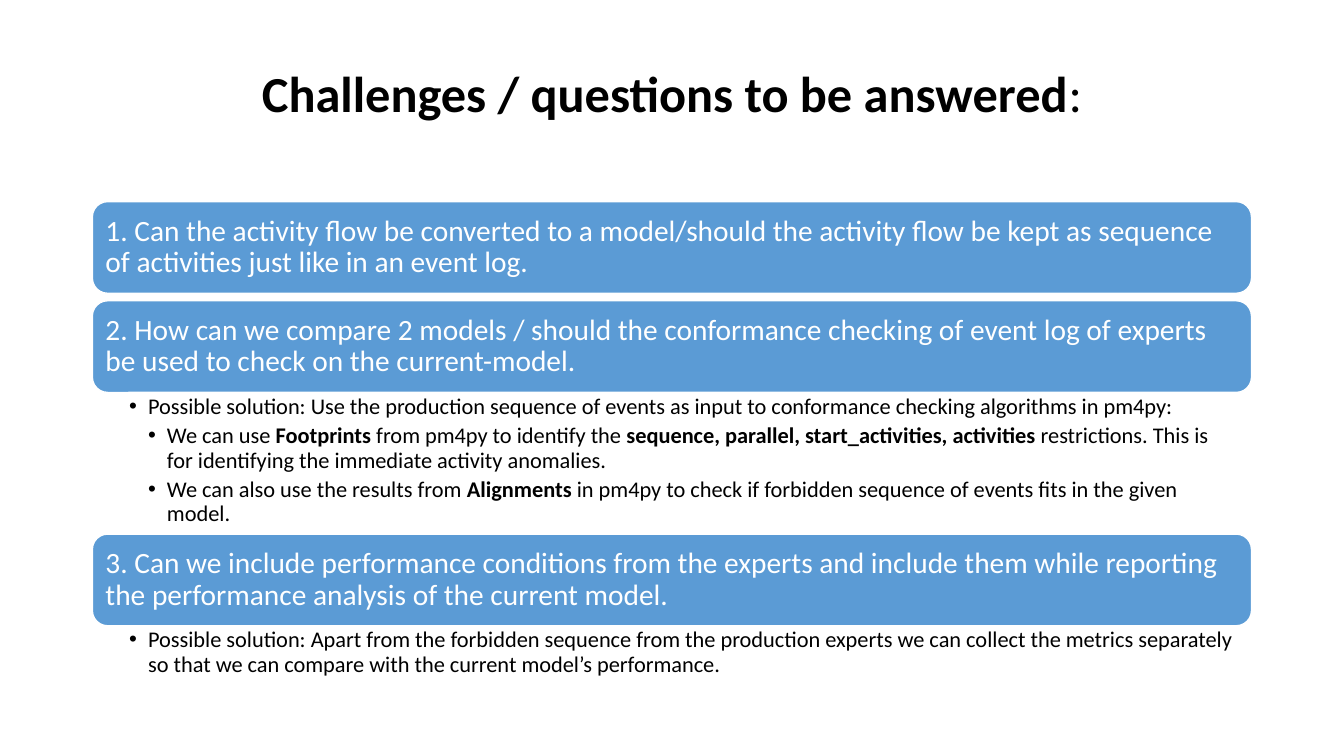
"""Build the slide of challenges and questions to be answered."""
from lxml.etree import SubElement
from pptx import Presentation
from pptx.dml.color import RGBColor
from pptx.enum.shapes import MSO_SHAPE as Shape
from pptx.enum.text import MSO_ANCHOR as Anchor, PP_ALIGN as Align
from pptx.oxml.ns import qn
from pptx.util import Pt

BLACK = RGBColor(0, 0, 0)
WHITE = RGBColor(255, 255, 255)
BLUE = RGBColor(0x5B, 0x9B, 0xD5)
LEFT, WIDE, BAR = 66, 828, 65.5
STEP = 13.5


def write(para, text, size, color):
    """Fill a paragraph, with bold between double stars."""
    para.line_spacing = 0.9
    for i, part in enumerate(text.split("**")):
        if part:
            run = para.add_run()
            run.text = part
            run.font.name = "Calibri"
            run.font.size = Pt(size)
            run.font.bold = i % 2 == 1
            run.font.color.rgb = color


def inset(frame, left, top, right, bottom):
    """Set wrapping and the four margins of a text frame."""
    frame.word_wrap = True
    frame.margin_left, frame.margin_top = Pt(left), Pt(top)
    frame.margin_right, frame.margin_bottom = Pt(right), Pt(bottom)


deck = Presentation()
deck.slide_width, deck.slide_height = Pt(960), Pt(540)
slide = deck.slides.add_slide(deck.slide_layouts[5])

title = slide.shapes.title
title.left, title.top, title.width, title.height = Pt(LEFT), Pt(44), Pt(WIDE), Pt(89)
frame = title.text_frame
frame.vertical_anchor = Anchor.TOP
inset(frame, 7.2, 5, 7.2, 3.6)
frame.paragraphs[0].alignment = Align.CENTER
write(frame.paragraphs[0], "**Challenges / questions to be answered**:", 36, BLACK)

bars = [
    (144, "1. Can the activity flow be converted to a model/should the activity flow "
          "be kept as sequence of activities just like in an event log."),
    (214.8, "2. How can we compare 2 models / should the conformance checking of event "
            "log of experts be used to check on the current-model."),
    (381.5, "3. Can we include performance conditions from the experts and include them "
            "while reporting the performance analysis of the current model."),
]
for top, text in bars:
    bar = slide.shapes.add_shape(Shape.ROUNDED_RECTANGLE, Pt(LEFT), Pt(top), Pt(WIDE), Pt(BAR))
    bar.shadow.inherit = False
    bar.fill.solid()
    bar.fill.fore_color.rgb = BLUE
    bar.line.color.rgb = WHITE
    bar.line.width = Pt(1)
    frame = bar.text_frame
    frame.vertical_anchor = Anchor.MIDDLE
    inset(frame, 6.2, 6, 6.2, 6)
    frame.paragraphs[0].alignment = Align.LEFT
    write(frame.paragraphs[0], text, 21, WHITE)

notes = [
    (280.5, 101, [
        (1, "Possible solution: Use the production sequence of events as input to "
            "conformance checking algorithms in pm4py:"),
        (2, "We can use **Footprints** from pm4py to identify the **sequence, parallel, "
            "start_activities, activities **restrictions. This is for identifying the "
            "immediate activity anomalies."),
        (2, "We can also use the results from **Alignments **in pm4py to check if "
            "forbidden sequence of events fits in the given model."),
    ]),
    (447, 39.5, [
        (1, "Possible solution: Apart from the forbidden sequence from the production "
            "experts we can collect the metrics separately so that we can compare with "
            "the current model’s performance."),
    ]),
]
for top, high, items in notes:
    box = slide.shapes.add_textbox(Pt(LEFT), Pt(top), Pt(WIDE), Pt(high))
    frame = box.text_frame
    inset(frame, 26.3, 2, 11.5, 2)
    for i, (level, text) in enumerate(items):
        para = frame.add_paragraph() if i else frame.paragraphs[0]
        para.level = level
        para.space_after = Pt(3.5)
        write(para, text, 16, BLACK)
        props = para._p.get_or_add_pPr()
        props.set("marL", str(Pt(STEP * level)))
        props.set("indent", str(-Pt(STEP)))
        SubElement(props, qn("a:buFont")).set("typeface", "Arial")
        SubElement(props, qn("a:buChar")).set("char", "•")

deck.save("out.pptx")
